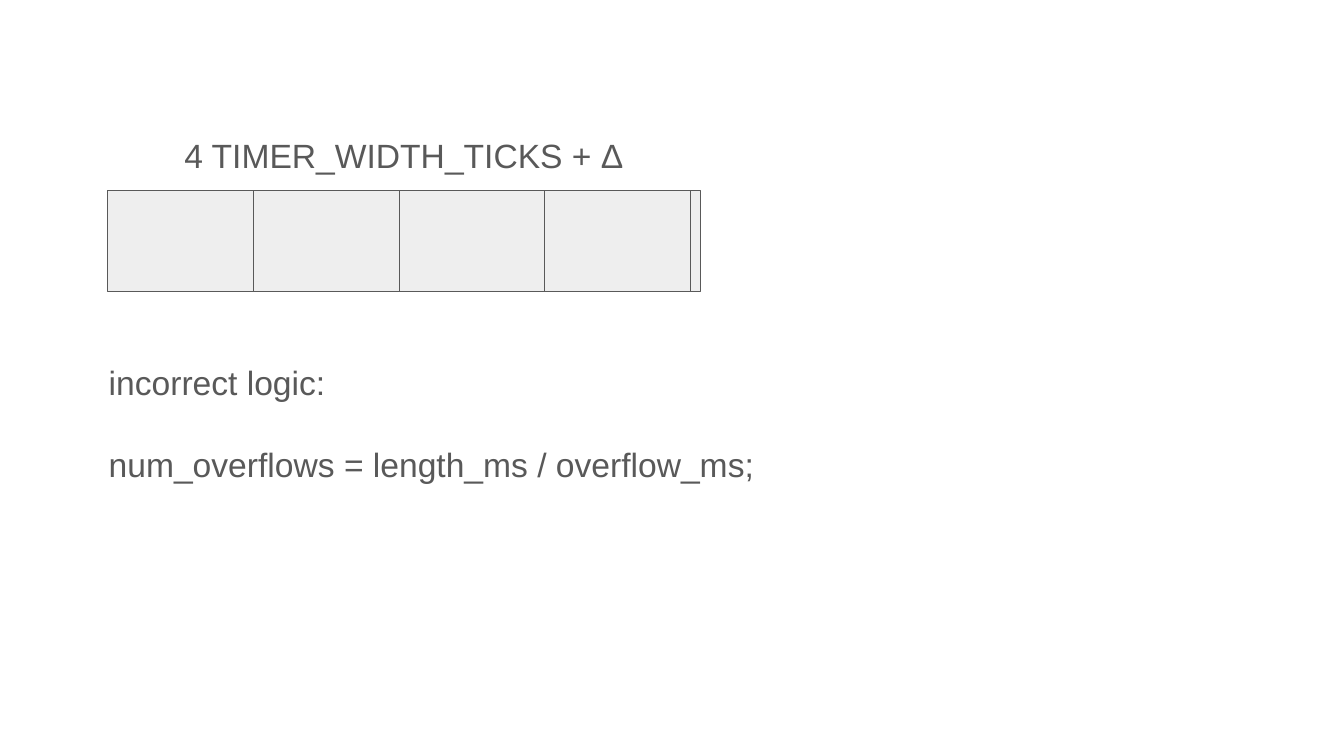
from pptx import Presentation, util as u
from pptx.dml.color import RGBColor
from pptx.enum import shapes, text

GRAY = "595959"


def color(code):
    return RGBColor.from_string(code)


def write(lines, left, top, width, height, size=24, font="Arial", ink=GRAY, gap=0):
    box = slide.shapes.add_textbox(
        u.Inches(left), u.Inches(top), u.Inches(width), u.Inches(height))
    frame = box.text_frame
    frame.word_wrap = True
    frame.vertical_anchor = text.MSO_ANCHOR.TOP
    frame.margin_left = frame.margin_right = u.Inches(0.1)
    frame.margin_top = frame.margin_bottom = u.Inches(0.1)
    frame.text = lines
    for i, para in enumerate(frame.paragraphs):
        para.font.size = u.Pt(size)
        para.font.name = font
        para.font.color.rgb = color(ink)
        if i:
            para.space_before = u.Pt(gap)


deck = Presentation()
deck.slide_width = u.Inches(13.33)
deck.slide_height = u.Inches(7.5)
slide = deck.slides.add_slide(deck.slide_layouts[6])

left = 1.07
for width in [1.444] * 4 + [0.1]:
    block = slide.shapes.add_shape(
        shapes.MSO_SHAPE.RECTANGLE,
        u.Inches(left), u.Inches(1.89), u.Inches(width), u.Inches(1))
    block.shadow.inherit = False
    block.fill.solid()
    block.fill.fore_color.rgb = color("EEEEEE")
    block.line.color.rgb = color(GRAY)
    block.line.width = u.Pt(0.75)
    left += width

write("incorrect logic:\nnum_overflows = length_ms / overflow_ms;",
      0.98, 3.49, 7.5, 3.77, gap=29.5)
write("4 TIMER_WIDTH_TICKS + Δ", 1.73, 1.24, 6.43, 0.39)

deck.save("out.pptx")
